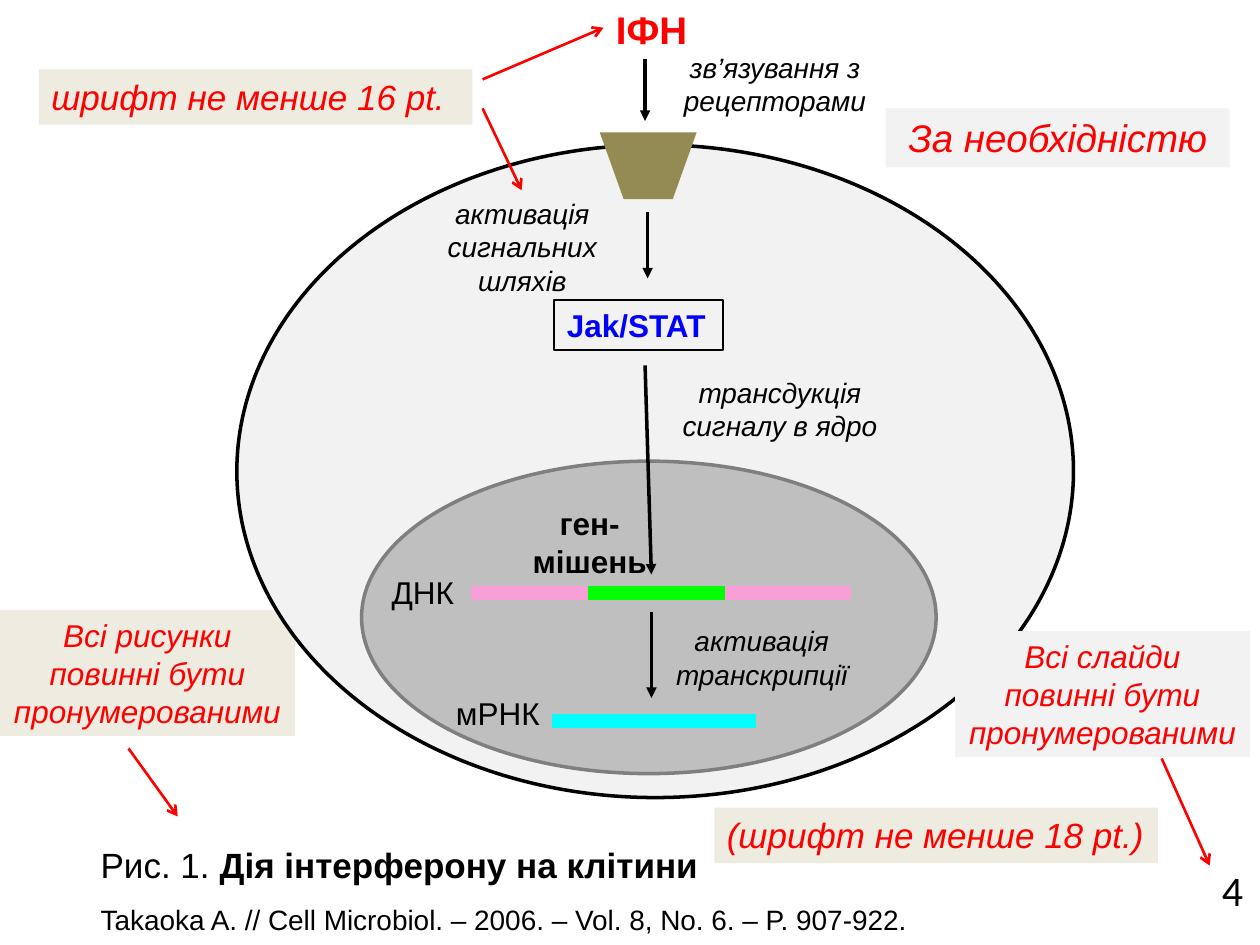
"""Build the slide on interferon action in a cell, with formatting notes."""
from lxml.etree import SubElement
from pptx import Presentation
from pptx.dml.color import RGBColor
from pptx.enum.shapes import MSO_CONNECTOR, MSO_SHAPE
from pptx.enum.text import MSO_ANCHOR, MSO_AUTO_SIZE, PP_ALIGN
from pptx.oxml.ns import qn
from pptx.util import Inches, Pt

COLS, ROWS = 100, 75
WIDTH, HEIGHT = Inches(10), Inches(7.5)
RED, BLACK, BLUE = "FF0000", "000000", "0000FF"
CREAM, PALE = "EEECE1", "F2F2F2"
LEFT, CENTER = PP_ALIGN.LEFT, PP_ALIGN.CENTER

CAPTION = [
    [("Рис. 1. ", 20, False), ("Дія інтерферону на клітини", 20, True)],
    [("Takaoka A. // Cell Microbiol. – 2006. – Vol. 8, No. 6. – P. 907-922.", 16, False)],
]
CAPTION_AREA = (7, 64.8, 82.8, 10)
FIGURE_NOTE = ("Всі рисунки повинні бути пронумерованими", (0, 48.4, 23.4, 10), CREAM, 18, CENTER)
NOTES = [
    ("Всі слайди повинні бути пронумерованими", (75.8, 50.1, 23.4, 10), PALE, 18, CENTER),
    ("(шрифт не менше 18 pt.)", (56.7, 64.1, 35.2, 4.4), CREAM, 20, LEFT),
    ("шрифт не менше 16 pt.", (3.1, 5.5, 34.4, 4.4), CREAM, 20, LEFT),
    ("За необхідністю", (70.3, 8.6, 27.3, 4.7), PALE, 22, CENTER),
]
CELL = ((18.8, 11.5, 66.4, 51.8), PALE, BLACK)
NUCLEUS = ((28.7, 36.6, 45.6, 24.8), "BFBFBF", "7F7F7F")
RECEPTOR = [(47.6, 10.5), (49.5, 15.8), (53.4, 15.8), (55.3, 10.5)]
PATHWAY = ("Jak/STAT", (44, 23.8, 13.4, 4))
STEPS = [
    ("зв’язування з рецепторами", (52.3, 3.5, 18.4, 6.4)),
    ("активація сигнальних шляхів", (33.5, 15.1, 15.9, 9)),
    ("трансдукція сигналу в ядро", (51.9, 29.3, 20, 6.4)),
    ("активація транскрипції", (51.5, 49, 17.9, 6.4)),
]
INTERFERON = ("ІФН", (47.9, 0, 8.2, 4.7))
GENE = ("ген-мішень", (41, 39.5, 11.6, 7))
MOLECULES = [("ДНК", (30.1, 45, 7.5, 4)), ("мРНК", (35.2, 54.6, 9.2, 4))]
STRANDS = [(37.4, 67.5, 47.1, "F99FD7"), (46.7, 57.5, 47.1, "00FF00"), (43.8, 60, 57.2, "00FFFF")]
SIGNALS = [
    (51.2, 4.7, 51.2, 9.6),
    (51.4, 16.8, 51.4, 22.1),
    (51.2, 29, 51.7, 45.6),
    (51.7, 48.6, 51.7, 55.4),
]
POINTERS = [
    (10.2, 59.4, 14.1, 64.8),
    (92.2, 60.2, 96, 68.7),
    (38.3, 8.6, 41.4, 15.1),
    (38.3, 6.3, 47.9, 2.2),
]
PAGE = ("4", (95.3, 68, 4.7, 5.2))

deck = Presentation()
deck.slide_width, deck.slide_height = WIDTH, HEIGHT
slide = deck.slides.add_slide(deck.slide_layouts[6])


def color(value):
    """Turn a hex string into a colour."""
    return RGBColor.from_string(value)


def place(*units):
    """Turn alternating column and row units into slide lengths."""
    steps = (WIDTH / COLS, HEIGHT / ROWS)
    return [round(unit * steps[i % 2]) for i, unit in enumerate(units)]


def paint(shape, fill=None, outline=None, weight=2):
    """Set fill and outline, leaving out whichever is not given."""
    shape.shadow.inherit = False
    if fill:
        shape.fill.solid()
        shape.fill.fore_color.rgb = color(fill)
    else:
        shape.fill.background()
    if outline:
        shape.line.color.rgb = color(outline)
        shape.line.width = Pt(weight)
    else:
        shape.line.fill.background()


def add_form(form, area, fill=None, outline=None, weight=2):
    """Add a painted preset shape."""
    shape = slide.shapes.add_shape(form, *place(*area))
    paint(shape, fill, outline, weight)
    return shape


def add_run(paragraph, words, size, ink=BLACK, bold=False, italic=False, face="Arial"):
    """Append one formatted run."""
    run = paragraph.add_run()
    run.text = words
    font = run.font
    font.name, font.size, font.bold, font.italic = face, Pt(size), bold, italic
    font.color.rgb = color(ink)


def write(holder, words, size, align=CENTER, wrap=True, anchor=MSO_ANCHOR.TOP, **style):
    """Fill a shape or text box with one run."""
    frame = holder.text_frame
    frame.word_wrap, frame.vertical_anchor = wrap, anchor
    frame.auto_size = MSO_AUTO_SIZE.SHAPE_TO_FIT_TEXT if anchor == MSO_ANCHOR.TOP else MSO_AUTO_SIZE.NONE
    frame.paragraphs[0].alignment = align
    add_run(frame.paragraphs[0], words, size, **style)


def add_label(words, area, size, **style):
    """Add a text box with one run."""
    write(slide.shapes.add_textbox(*place(*area)), words, size, **style)


def add_note(words, area, fill, size, align):
    """Add a red italic remark on a tinted box."""
    write(add_form(MSO_SHAPE.RECTANGLE, area, fill), words, size, align, ink=RED, italic=True)


def add_line(ends, ink, weight, head=None):
    """Add a straight line, with an arrowhead if one is named."""
    line = slide.shapes.add_connector(MSO_CONNECTOR.STRAIGHT, *place(*ends))
    line.line.color.rgb = color(ink)
    line.line.width = Pt(weight)
    if head:
        SubElement(line.line._get_or_add_ln(), qn("a:tailEnd"), type=head)
    SubElement(line._element.spPr, qn("a:effectLst"))


def add_caption():
    """Add the figure title and its reference."""
    frame = slide.shapes.add_textbox(*place(*CAPTION_AREA)).text_frame
    frame.word_wrap = True
    for i, runs in enumerate(CAPTION):
        paragraph = frame.add_paragraph() if i else frame.paragraphs[0]
        paragraph.line_spacing = 1.5
        for words, size, bold in runs:
            add_run(paragraph, words, size, bold=bold)


def add_cell():
    """Add the cell, its receptor, the nucleus and the signal path."""
    add_form(MSO_SHAPE.OVAL, *CELL)
    corners = [tuple(place(*corner)) for corner in RECEPTOR]
    builder = slide.shapes.build_freeform(*corners[0])
    builder.add_line_segments(corners[1:], close=True)
    paint(builder.convert_to_shape(), "948A54")
    add_form(MSO_SHAPE.OVAL, *NUCLEUS)
    words, area = PATHWAY
    box = add_form(MSO_SHAPE.RECTANGLE, area, outline=BLACK, weight=1)
    write(box, words, 18, LEFT, wrap=False, ink=BLUE, bold=True)
    for start, end, row, ink in STRANDS:
        add_line((start, row, end, row), ink, 8)
    for ends in SIGNALS:
        add_line(ends, BLACK, 2, "triangle")
    add_label(*INTERFERON, 22, align=LEFT, wrap=False, ink=RED, bold=True)
    add_label(*GENE, 18, bold=True)
    for molecule in MOLECULES:
        add_label(*molecule, 18, align=LEFT, wrap=False)
    for step in STEPS:
        add_label(*step, 16, italic=True)


def main():
    """Assemble the slide from back to front and save it."""
    add_caption()
    add_note(*FIGURE_NOTE)
    add_cell()
    for note in NOTES:
        add_note(*note)
    for ends in POINTERS:
        add_line(ends, RED, 1.5, "arrow")
    number, area = PAGE
    write(add_form(MSO_SHAPE.OVAL, area), number, 24, anchor=MSO_ANCHOR.MIDDLE, face="Calibri")
    deck.save("out.pptx")


if __name__ == "__main__":
    main()
